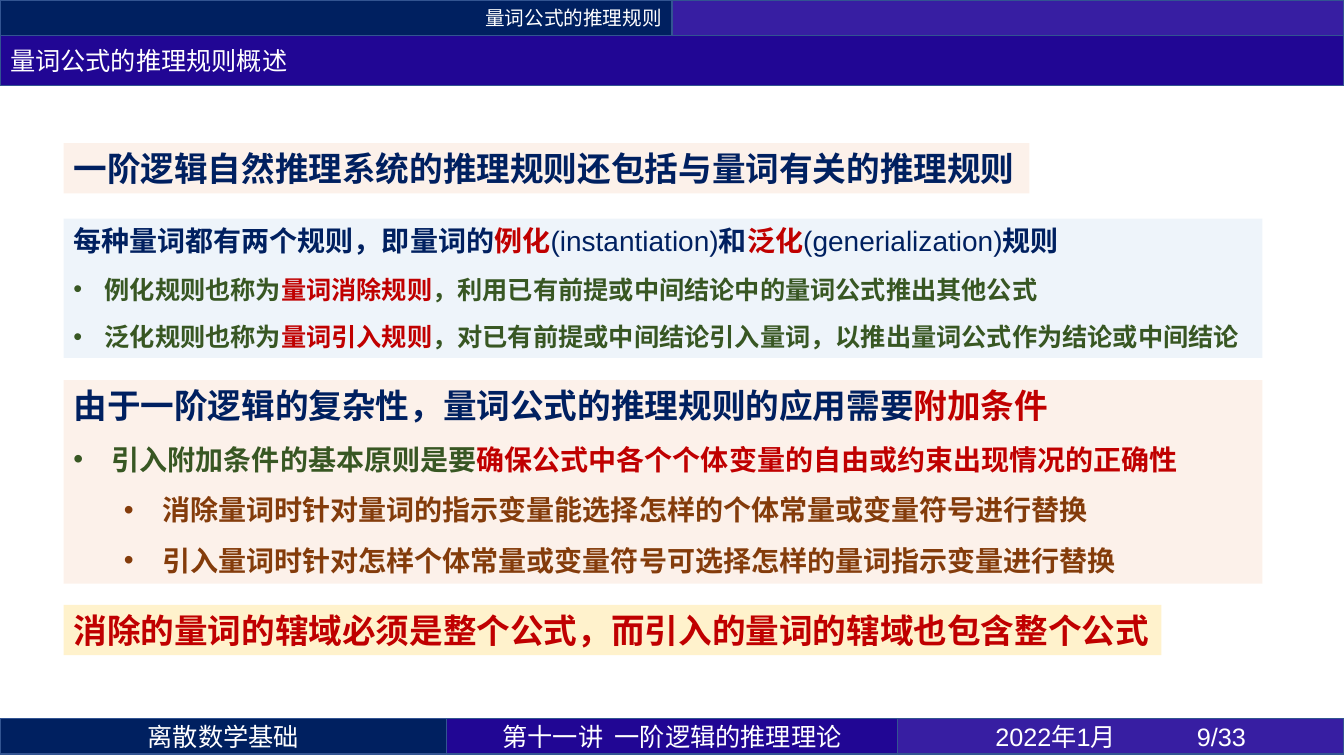
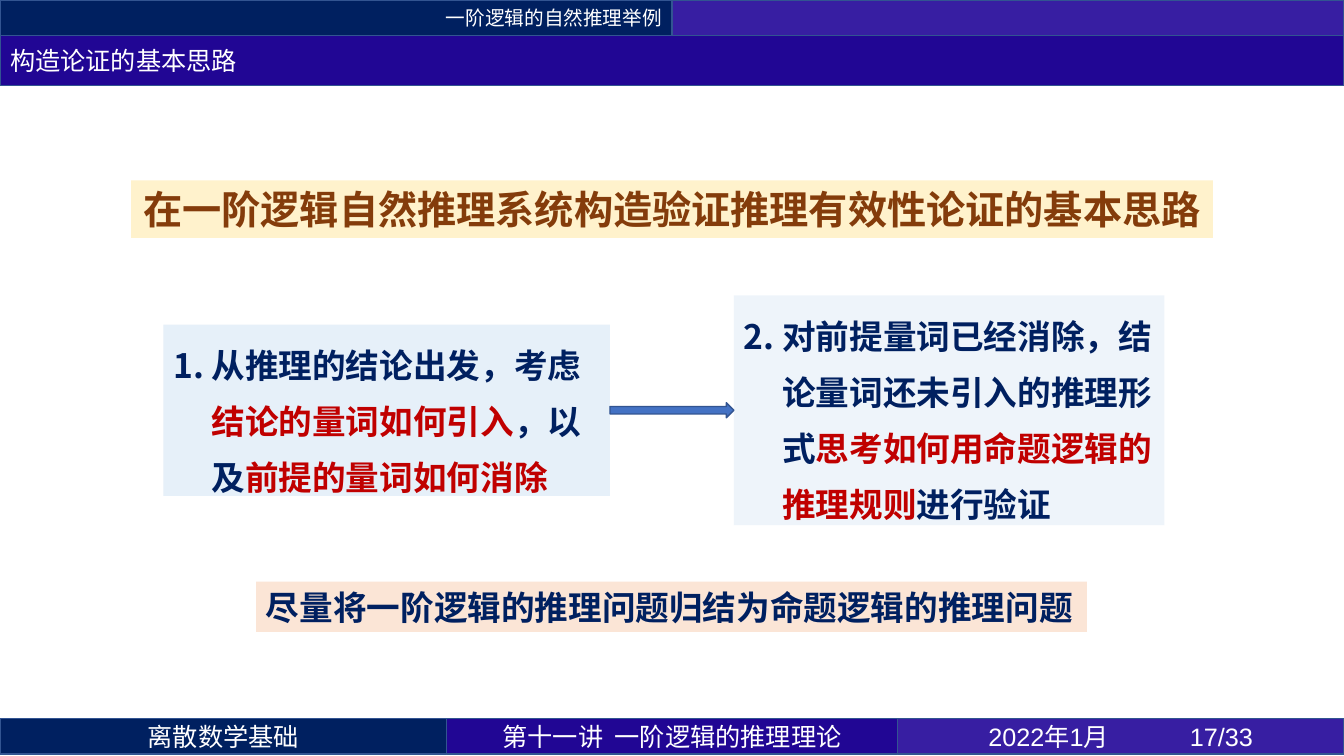
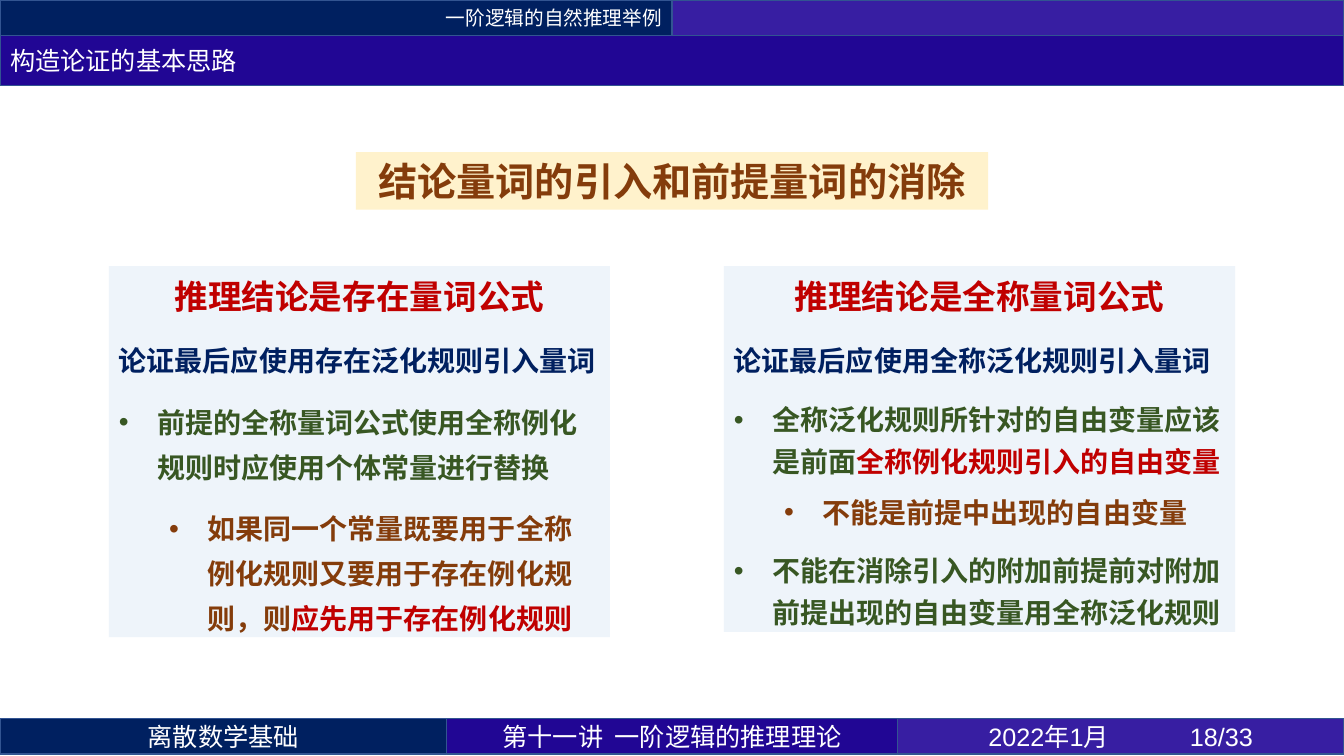
import dataclasses

import lxml.etree
import pptx
import pptx.dml.color
import pptx.enum.shapes
import pptx.enum.text
import pptx.oxml
import pptx.oxml.ns
import pptx.util

Inches, Pt = pptx.util.Inches, pptx.util.Pt
Align = pptx.enum.text.PP_ALIGN
Anchor = pptx.enum.text.MSO_ANCHOR
Preset = pptx.enum.shapes.MSO_SHAPE


@dataclasses.dataclass(frozen=True)
class Theme:
    white: str = "FFFFFF"
    navy: str = "002060"
    indigo: str = "210694"
    violet: str = "371EA2"
    outline: str = "325491"
    arrow: str = "4472C4"
    red: str = "C00000"
    green: str = "385723"
    brown: str = "843C0B"
    cream: str = "FFF2CC"
    peach: str = "FBE5D6"
    sky: str = "DEEBF7"
    cjk: str = "Noto Sans CJK SC"
    latin: str = "Arial"
    headline: int = 28
    lead: int = 24
    body: int = 20
    detail: int = 18
    section: int = 14
    single_spacing: float = 1.2


T = Theme()
WIDTH, HEIGHT = 13.33, 7.5
SECTION_H, TITLE_H, FOOTER_H = 0.35, 0.5, 0.35
FOOTER_TOP = 7.13
PAGE_TOTAL = 33
COURSE = "离散数学基础"
LECTURE = "第十一讲  一阶逻辑的推理理论"
DATE = "2022年1月"


@dataclasses.dataclass
class Para:
    """Runs are (text, colour) or (text, colour, style); spacing is in points."""
    runs: list
    size: int = T.body
    bold: bool = True
    align: int = Align.LEFT
    line: float = None
    before: float = 0
    after: float = 0
    bullet: str = None
    number: int = None
    hang: float = 0.38
    level: int = 0
    tab: float = None


def add_to(parent, tag, **attributes):
    element = lxml.etree.SubElement(parent, pptx.oxml.ns.qn(tag))
    for name, value in attributes.items():
        element.set(name, str(value))
    return element


def set_all(target, values):
    for name, value in values.items():
        setattr(target, name, value)


def rgb(colour):
    return pptx.dml.color.RGBColor.from_string(colour)


def paint(shape, fill, line=None, opacity=100):
    shape.shadow.inherit = False
    shape.fill.solid()
    shape.fill.fore_color.rgb = rgb(fill)
    if opacity < 100:
        colour = shape.fill._xPr.find(".//" + pptx.oxml.ns.qn("a:srgbClr"))
        add_to(colour, "a:alpha", val=opacity * 1000)
    if line:
        shape.line.color.rgb = rgb(line)
        shape.line.width = Pt(1)
    else:
        shape.line.fill.background()


def mark_paragraph(paragraph, para):
    """Add the bullet, number and tab stop of a paragraph."""
    properties = paragraph._p.get_or_add_pPr()
    if para.bullet or para.number:
        left = para.hang + 0.5 * para.level
        properties.set("marL", str(Inches(left)))
        properties.set("indent", str(-Inches(para.hang)))
    if para.bullet:
        add_to(properties, "a:buFont", typeface=T.latin)
        add_to(properties, "a:buChar", char=para.bullet)
    elif para.number:
        add_to(properties, "a:buFont", typeface=T.cjk)
        add_to(properties, "a:buAutoNum", type="arabicPeriod", startAt=para.number)
    if para.tab:
        stops = add_to(properties, "a:tabLst")
        add_to(stops, "a:tab", pos=Inches(para.tab), algn="l")


def write(shape, paras, anchor=Anchor.TOP):
    frame = shape.text_frame
    set_all(frame, {
        "word_wrap": True,
        "auto_size": pptx.enum.text.MSO_AUTO_SIZE.NONE,
        "vertical_anchor": anchor,
        "margin_left": Inches(0.1), "margin_right": Inches(0.1),
        "margin_top": Inches(0.05), "margin_bottom": Inches(0.05),
    })
    for index, para in enumerate(paras):
        paragraph = frame.add_paragraph() if index else frame.paragraphs[0]
        mark_paragraph(paragraph, para)
        set_all(paragraph, {
            "alignment": para.align,
            "level": para.level,
            "line_spacing": Pt(para.line or para.size * T.single_spacing),
            "space_before": Pt(para.before if index else 0),
            "space_after": Pt(para.after),
        })
        for text, colour, *style in para.runs:
            run = paragraph.add_run()
            run.text = text
            set_all(run.font, {
                "size": Pt(para.size),
                "bold": para.bold and "plain" not in style,
                "name": T.latin if "plain" in style else T.cjk,
            })
            run.font.color.rgb = rgb(colour)
            add_to(run._r.get_or_add_rPr(), "a:ea", typeface=T.cjk)


def add_block(slide, box, fill, line=None, opacity=100, preset=Preset.RECTANGLE):
    shape = slide.shapes.add_shape(preset, *map(Inches, box))
    paint(shape, fill, line, opacity)
    return shape


def add_card(slide, box, fill, paras, opacity=100):
    write(add_block(slide, box, fill, opacity=opacity), paras)


def add_band(slide, box, fill, text="", size=T.detail, align=Align.CENTER, **options):
    band = add_block(slide, box, fill, T.outline)
    if text:
        style = options.pop("style", ())
        para = Para([(text, T.white, *style)], size, False, align, **options)
        write(band, [para], Anchor.MIDDLE)


def add_section_bar(slide, box, section):
    left, top, width, height = box
    half = width / 2
    add_band(slide, (left, top, half, height), T.navy, section, T.section, Align.RIGHT)
    add_band(slide, (left + half, top, half, height), T.violet)


def add_title(slide, box, title):
    holder = slide.shapes.title
    set_all(holder, dict(zip(("left", "top", "width", "height"), map(Inches, box))))
    paint(holder, T.indigo, T.outline)
    write(holder, [Para([(title, T.white)], T.detail, False)], Anchor.MIDDLE)


def add_footer(slide, box, page):
    left, top, width, height = box
    side = 4.43
    middle = width - 2 * side
    add_band(slide, (left, top, side, height), T.navy, COURSE)
    add_band(slide, (left + side, top, middle, height), T.indigo, LECTURE)
    add_band(slide, (left + side + middle, top, side, height), T.violet,
             f"{DATE} \t{page}/{PAGE_TOTAL}", style=("plain",), tab=2)


def start_slide(deck, section, title, page):
    slide = deck.slides.add_slide(deck.slide_layouts[5])
    add_section_bar(slide, (0, 0, WIDTH, SECTION_H), section)
    add_title(slide, (0, SECTION_H, WIDTH, TITLE_H), title)
    add_footer(slide, (0, FOOTER_TOP, WIDTH, FOOTER_H), page)
    return slide


def add_rule_overview(slide, box):
    left, top, width = box
    gap = {"before": 6, "after": 6}
    term = {"size": T.detail, "bullet": "•", "hang": 0.31, **gap}
    point = {"bullet": "•", **gap}

    add_card(slide, (left, top, 9.58, 0.5), T.peach, [
        Para([("一阶逻辑自然推理系统的推理规则还包括与量词有关的推理规则", T.navy)], T.lead),
    ], 50)
    add_card(slide, (left, top + 0.75, width, 1.38), T.sky, [
        Para([("每种量词都有两个规则，即量词的", T.navy), ("例化", T.red),
              ("(instantiation)", T.navy, "plain"), ("和", T.navy), ("泛化", T.red),
              ("(generialization)", T.navy, "plain"), ("规则", T.navy)], **gap),
        Para([("例化规则也称为", T.green), ("量词消除规则", T.red),
              ("，利用已有前提或中间结论中的量词公式推出其他公式", T.green)], **term),
        Para([("泛化规则也称为", T.green), ("量词引入规则", T.red),
              ("，对已有前提或中间结论引入量词，以推出量词公式作为结论或中间结论", T.green)],
             **term),
    ], 50)
    add_card(slide, (left, top + 2.35, width, 2.02), T.peach, [
        Para([("由于一阶逻辑的复杂性，量词公式的推理规则的应用需要", T.navy),
              ("附加条件", T.red)], T.lead, **gap),
        Para([("引入附加条件的基本原则是要", T.green),
              ("确保公式中各个个体变量的自由或约束出现情况的正确性", T.red)], **point),
        Para([("消除量词时针对量词的指示变量能选择怎样的个体常量或变量符号进行替换", T.brown)],
             level=1, **point),
        Para([("引入量词时针对怎样个体常量或变量符号可选择怎样的量词指示变量进行替换", T.brown)],
             level=1, **point),
    ], 50)
    add_card(slide, (left, top + 4.58, 10.89, 0.5), T.cream, [
        Para([("消除的量词的辖域必须是整个公式，而引入的量词的辖域也包含整个公式", T.red)], T.lead),
    ])


def add_headline(slide, top, width, text):
    add_card(slide, ((WIDTH - width) / 2, top, width, 0.57), T.cream,
             [Para([(text, T.brown)], T.headline, align=Align.CENTER)])


def add_step_flow(slide, box):
    """Two numbered steps centred on one line, joined by an arrow."""
    left, top, width, height = box
    middle = top + height / 2
    first_w, first_h, second_w, arrow_h = 4.43, 1.7, 4.27, 0.15
    second_left = left + width - second_w
    step = {"size": T.lead, "line": 40}

    add_card(slide, (left, middle - first_h / 2, first_w, first_h), T.sky, [
        Para([("从推理的结论出发，考虑", T.navy), ("结论的量词如何引入", T.red),
              ("，以及", T.navy), ("前提的量词如何消除", T.red)], number=1, **step),
    ], 75)
    add_card(slide, (second_left, top, second_w, height), T.sky, [
        Para([("对前提量词已经消除，结论量词还未引入的推理形式", T.navy),
              ("思考如何用命题逻辑的推理规则", T.red), ("进行验证", T.navy)],
             number=2, **step),
    ], 50)
    arrow_left = left + first_w
    add_block(slide, (arrow_left, middle - arrow_h / 2, second_left - arrow_left, arrow_h),
              T.arrow, T.outline, preset=Preset.RIGHT_ARROW)


def add_case(slide, box, conclusion, ending, points):
    gap = {"line": 32, "before": 6, "after": 6}
    add_card(slide, box, T.sky, [
        Para([(conclusion, T.red)], T.lead, align=Align.CENTER, **gap),
        Para([(ending, T.navy)], **gap),
        *points,
    ], 50)


def add_cases(slide, top):
    loose = {"bullet": "•", "line": 32, "before": 6, "after": 6}
    tight = {"bullet": "•", "line": 30}
    add_case(slide, (1.08, top, 4.97, 3.68),
             "推理结论是存在量词公式", "论证最后应使用存在泛化规则引入量词", [
        Para([("前提的全称量词公式使用全称例化规则时应使用个体常量进行替换", T.green)], **loose),
        Para([("如果同一个常量既要用于全称例化规则又要用于存在例化规则，则", T.brown),
              ("应先用于存在例化规则", T.red)], level=1, **loose),
    ])
    add_case(slide, (7.18, top, 5.07, 3.63),
             "推理结论是全称量词公式", "论证最后应使用全称泛化规则引入量词", [
        Para([("全称泛化规则所针对的自由变量应该是前面", T.green),
              ("全称例化规则引入的自由变量", T.red)], before=6, after=6, **tight),
        Para([("不能是前提中出现的自由变量", T.brown)], level=1, after=6, **tight),
        Para([("不能在消除引入的附加前提前对附加前提出现的自由变量用全称泛化规则", T.green)],
             before=6, **tight),
    ])


def main():
    deck = pptx.Presentation()
    set_all(deck, {"slide_width": Inches(WIDTH), "slide_height": Inches(HEIGHT)})

    overview = start_slide(deck, "量词公式的推理规则", "量词公式的推理规则概述", 9)
    add_rule_overview(overview, (0.63, 1.42, 11.89))

    examples, approach = "一阶逻辑的自然推理举例", "构造论证的基本思路"
    steps = start_slide(deck, examples, approach, 17)
    add_headline(steps, 1.79, 10.73, "在一阶逻辑自然推理系统构造验证推理有效性论证的基本思路")
    add_step_flow(steps, (1.62, 2.93, 9.93, 2.28))
    add_card(steps, (2.54, 5.77, 8.24, 0.5), T.peach, [
        Para([("尽量将一阶逻辑的推理问题归结为命题逻辑的推理问题", T.navy)], T.lead),
    ])

    cases = start_slide(deck, examples, approach, 18)
    add_headline(cases, 1.51, 6.27, "结论量词的引入和前提量词的消除")
    add_cases(cases, 2.64)

    deck.save("out.pptx")


if __name__ == "__main__":
    main()
